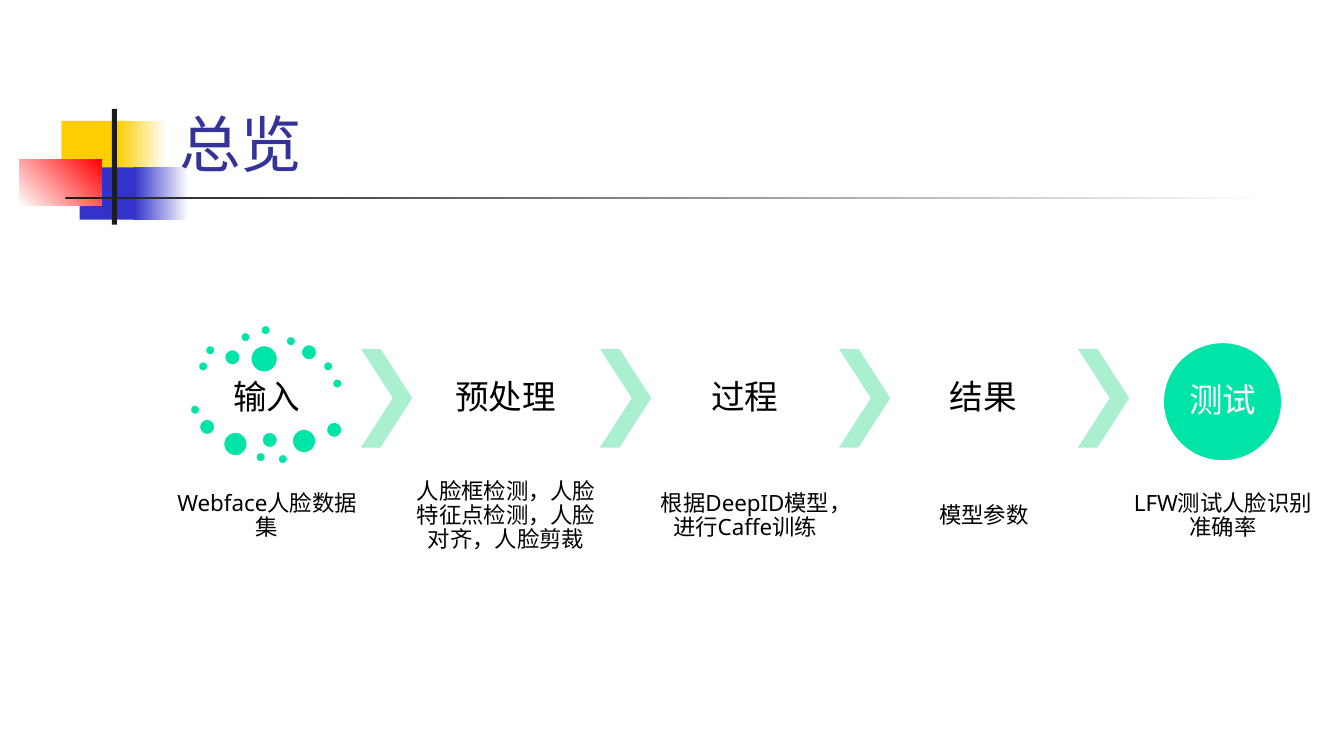
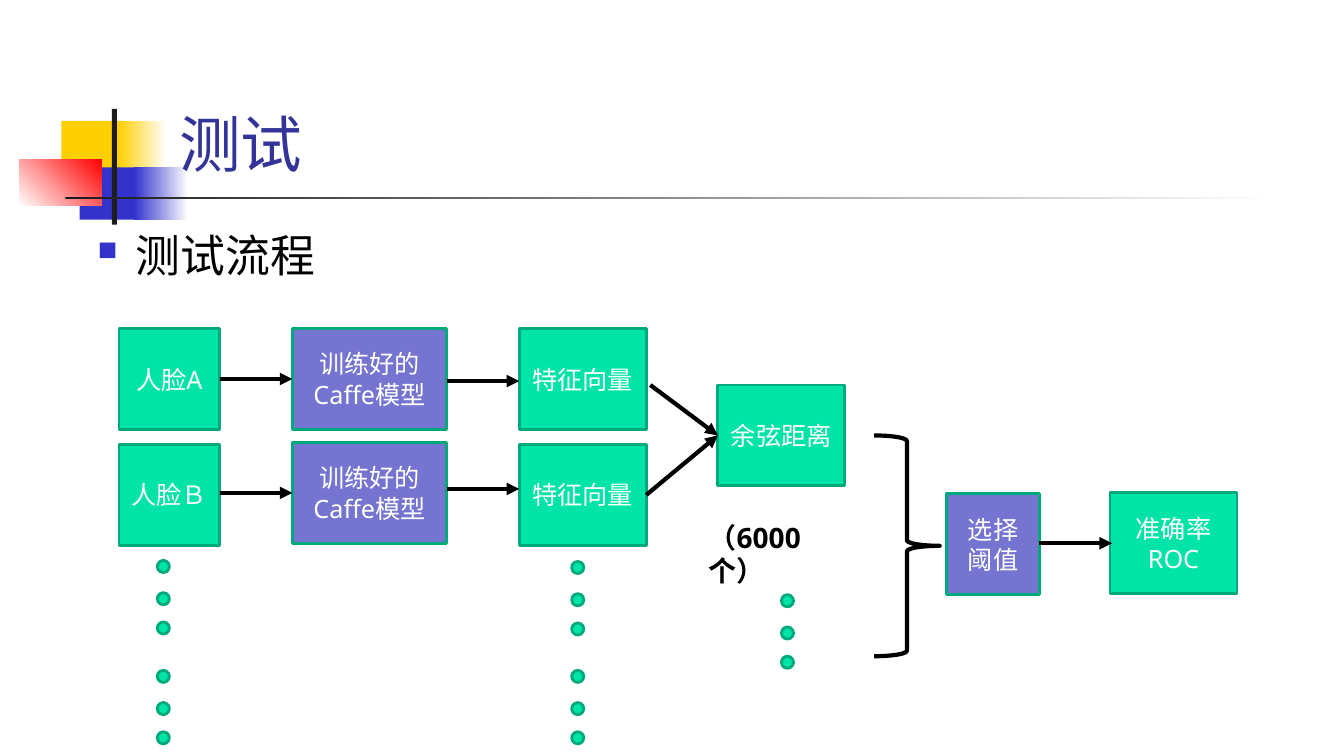
from lxml import etree
from pptx import Presentation
from pptx import util as u
from pptx.dml.color import RGBColor
from pptx.enum import shapes, text
from pptx.oxml import ns

COLS, ROWS = 13.33, 7.5
HUES = {"ink": "000000", "white": "FFFFFF", "gold": "FFCF01", "blue": "3333CC",
        "red": "FF0000", "dark": "1C1C1C", "title": "333399", "mint": "00E4A8",
        "pale": "ABEFD1", "edge": "00A97C", "plum": "7575D1"}
KIND = shapes.MSO_SHAPE
MID = text.MSO_ANCHOR.MIDDLE
CENTER = text.PP_ALIGN.CENTER


def hue(name):
    """Look up a colour of the palette."""
    return RGBColor.from_string(HUES[name])


def child(node, tag, **attrs):
    """Append a drawing element with attributes."""
    return etree.SubElement(node, ns.qn(tag), attrs)


class Deck:
    """Style of the deck and the slide in work."""

    def __init__(self):
        """Open a deck whose grid cells are one inch square."""
        self.show = Presentation()
        self.show.slide_width = u.Inches(COLS)
        self.show.slide_height = u.Inches(ROWS)
        self.cell = self.show.slide_height / ROWS
        self.slide = None

    def grid(self, *cells):
        """Turn columns and rows into lengths."""
        return [round(c * self.cell) for c in cells]

    def page(self, title):
        """Start a slide with its emblem, rule and title."""
        self.slide = self.show.slides.add_slide(self.show.slide_layouts[6])
        for at, fill, turn in [
                ((0.61, 1.2, 0.64, 0.52), "gold", 0),
                ((1.17, 1.2, 0.48, 0.52), ("gold", "white"), 0),
                ((0.79, 1.66, 0.62, 0.52), "blue", 0),
                ((1.33, 1.66, 0.54, 0.52), ("blue", "white"), 0),
                ((0.19, 1.58, 0.82, 0.46), ("white", "red"), 45),
                ((1.11, 1.08, 0.05, 1.15), "dark", 0),
                ((0.65, 1.95, 12, 0.03), ("dark", "white"), 0)]:
            self.shape(KIND.RECTANGLE, at, fill, turn=turn)
        self.label(title, (1.68, 0.23, 11.36, 1.6), 44, "title",
                   anchor=text.MSO_ANCHOR.BOTTOM)

    def paint(self, fill, shade, turn):
        """Give a fill no colour, one colour or a fade between two."""
        if shade is None:
            fill.background()
        elif isinstance(shade, tuple):
            fill.gradient()
            fill.gradient_angle = turn
            for stop, name in zip(fill.gradient_stops, shade):
                stop.color.rgb = hue(name)
        else:
            fill.solid()
            fill.fore_color.rgb = hue(shade)

    def shape(self, kind, at, fill=None, line=None, width=2, turn=0):
        """Add a preset shape."""
        item = self.slide.shapes.add_shape(kind, *self.grid(*at))
        item.shadow.inherit = False
        self.paint(item.fill, fill, turn)
        self.paint(item.line.fill, line, 0)
        if line:
            item.line.width = u.Pt(width)
        return item

    def style(self, item, words, size, tint="white", inset=None, bold=False,
              anchor=MID, align=CENTER, lead=None):
        """Set text, one paragraph a line."""
        frame = item.text_frame
        form = {"word_wrap": True, "vertical_anchor": anchor}
        if inset is not None:
            sides = ("left", "top", "right", "bottom")
            form.update({f"margin_{s}": u.Inches(inset) for s in sides})
        for key, val in form.items():
            setattr(frame, key, val)
        frame.text = words
        for para in frame.paragraphs:
            para.alignment, para.line_spacing = align, lead
            font = para.runs[0].font
            for key, val in {"name": "Noto Sans", "size": u.Pt(size),
                             "bold": bold}.items():
                setattr(font, key, val)
            font.color.rgb = hue(tint)
        return item

    def label(self, words, at, size, tint="ink", align=None, **form):
        """Add a text box."""
        item = self.slide.shapes.add_textbox(*self.grid(*at))
        return self.style(item, words, size, tint, align=align, **form)

    def point(self, words, at, size):
        """Add a text box with a square bullet."""
        item = self.label(words, at, size, anchor=text.MSO_ANCHOR.TOP)
        prop = item.text_frame.paragraphs[0]._p.get_or_add_pPr()
        dent = u.Inches(0.38)
        prop.set("marL", str(dent))
        prop.set("indent", str(-dent))
        child(child(prop, "a:buClr"), "a:srgbClr", val=HUES["blue"])
        child(prop, "a:buSzPct", val="60000")
        child(prop, "a:buChar", char="■")

    def box(self, words, at, fill="mint"):
        """Add a framed box of the flow."""
        self.style(self.shape(KIND.RECTANGLE, at, fill, "edge"), words, 18)

    def dot(self, left, top, size, line="white"):
        """Add a round mint dot."""
        return self.shape(KIND.OVAL, (left, top, size, size), "mint", line)

    def trail(self, left, top):
        """Add three dots that stand for more rows."""
        for gap in (0, 0.32, 0.61):
            self.dot(left, top + gap, 0.12, "edge")

    def arrow(self, *ends):
        """Add a black arrow from one point to another."""
        item = self.slide.shapes.add_connector(
            shapes.MSO_CONNECTOR.STRAIGHT, *self.grid(*ends))
        item.line.width = u.Pt(3)
        item.line.color.rgb = hue("ink")
        prop = item._element.spPr
        child(prop.get_or_add_ln(), "a:tailEnd", type="triangle")
        child(prop, "a:effectLst")


def overview(deck):
    """Build the five steps."""
    deck.page("总览")
    steps = [("输入", "Webface人脸数据集"),
             ("预处理", "人脸框检测，人脸特征点检测，人脸对齐，人脸剪裁"),
             ("过程", "根据DeepID模型，进行Caffe训练"),
             ("结果", "模型参数"),
             ("测试", "LFW测试人脸识别准确率")]
    pitch, last = 2.37, len(steps) - 1
    form = {"align": CENTER, "lead": 0.9}
    for i, (name, note) in enumerate(steps):
        left = 1.72 + i * pitch
        if i < last:
            deck.label(name, (left + 0.23, 3.46, 1.39, 0.98), 24,
                       inset=0.03, **form)
            chev = deck.shape(KIND.CHEVRON, (left + 1.86, 3.46, 0.51, 0.98), "pale")
            chev.adjustments[0] = 0.62
        else:
            deck.dot(11.53, 3.39, 1.19)
            deck.label(name, (11.71, 3.56, 0.84, 0.84), 24, "white",
                       inset=0, **form)
        deck.label(note, (left, 4.55, 1.86, 1.14), 16, inset=0.02, **form)
    ring = {0.11: [(1.96, 3.58), (2.03, 3.42), (2.38, 3.29), (2.58, 3.22),
                   (2.83, 3.33), (3.2, 3.58), (3.29, 3.75), (1.88, 4.01),
                   (2.53, 4.48), (2.75, 4.5)],
            0.17: [(2.22, 3.46), (2.98, 3.41), (1.97, 4.15), (2.59, 4.28),
                   (3.23, 4.18)],
            0.25: [(2.21, 4.28), (2.89, 4.25)],
            0.28: [(2.48, 3.42)]}
    for size, spots in ring.items():
        for left, top in spots:
            deck.dot(left, top, size)


def testing(deck):
    """Build the flow of the test."""
    deck.page("测试")
    deck.point("测试流程", (0.87, 2.21, 11.33, 4.5), 32)
    for face, top, model in (("人脸A", 3.26, 3.26), ("人脸Ｂ", 4.41, 4.39)):
        deck.box(face, (1.18, top, 1, 1))
        deck.box("训练好的Caffe模型", (2.9, model, 1.53, 1), "plum")
        deck.box("特征向量", (5.15, top, 1.26, 1))
    deck.box("余弦距离", (7.12, 3.82, 1.26, 1))
    deck.box("选择阈值", (9.39, 4.9, 0.92, 1), "plum")
    deck.box("准确率\nROC", (11.01, 4.89, 1.26, 1))
    for left, top in ((1.56, 5.56), (1.56, 6.65), (5.67, 5.57),
                      (5.67, 6.65), (7.75, 5.9)):
        deck.trail(left, top)
    deck.label("（6000个）", (6.93, 5.11, 1.5, 0.8), 20, bold=True,
               anchor=text.MSO_ANCHOR.TOP)
    for ends in ((2.18, 3.76, 2.9, 3.76), (2.18, 4.89, 2.9, 4.89),
                 (4.43, 3.78, 5.15, 3.78), (4.43, 4.85, 5.15, 4.85),
                 (6.45, 3.82, 7.12, 4.32), (6.41, 4.91, 7.12, 4.32),
                 (10.31, 5.39, 11.03, 5.39)):
        deck.arrow(*ends)
    deck.shape(KIND.RIGHT_BRACE, (8.67, 4.32, 0.65, 2.19), None, "ink", 3)


deck = Deck()
overview(deck)
testing(deck)
deck.show.save("out.pptx")
